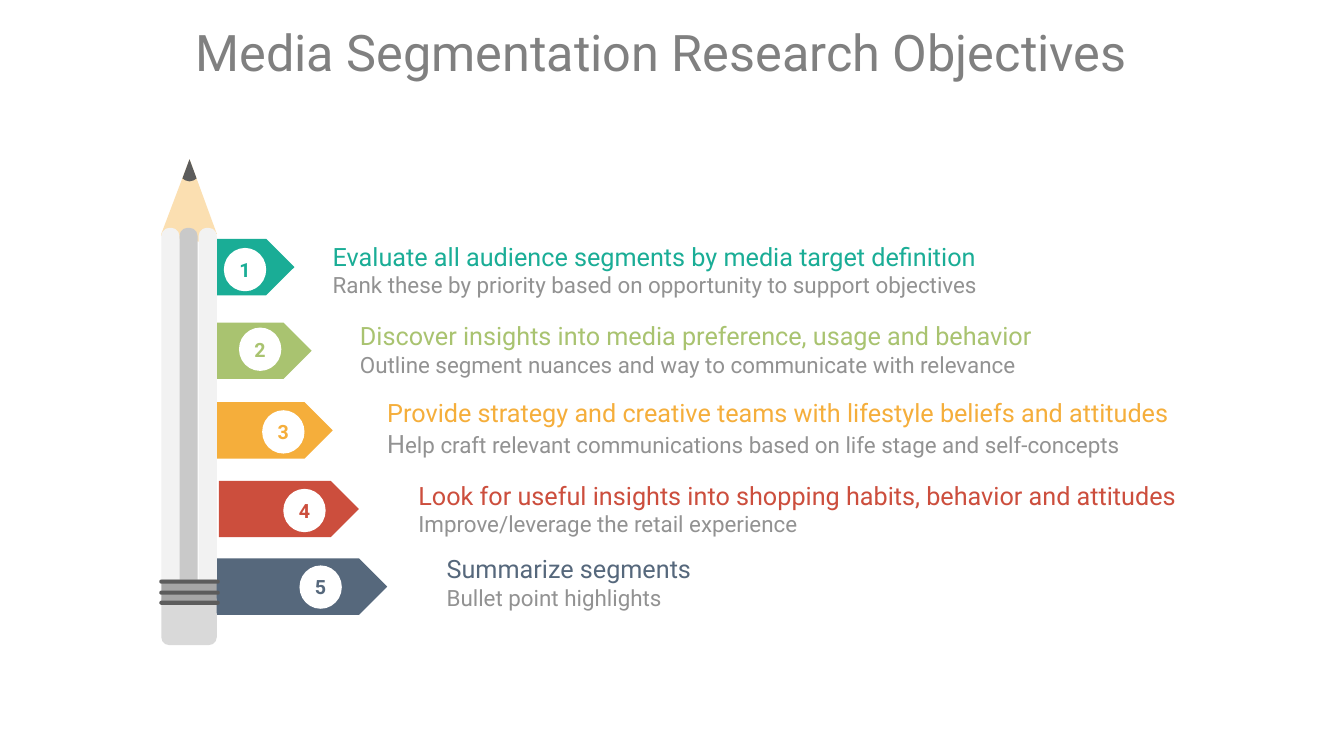
from dataclasses import dataclass

from pptx import Presentation
from pptx.dml.color import RGBColor
from pptx.enum.shapes import MSO_SHAPE as Preset
from pptx.enum.text import MSO_ANCHOR as Anchor, MSO_AUTO_SIZE as AutoSize, PP_ALIGN as Align
from pptx.shapes.autoshape import Shape
from pptx.shapes.shapetree import GroupShapes, SlideShapes
from pptx.slide import Slide
from pptx.text.text import TextFrame, _Paragraph as Paragraph
from pptx.util import Emu, Pt

EMU_PER_PX = 9144


@dataclass(frozen=True)
class Theme:
    font: str = "Roboto"
    title: str = "808080"
    detail: str = "929292"
    white: str = "FFFFFF"
    wood: str = "FBDFB1"
    graphite: str = "5C5C5C"
    barrel: str = "F2F2F2"
    barrel_shade: str = "C9C9C9"
    eraser: str = "D9D9D9"
    ferrule: str = "A6A6A6"
    title_size: int = 36
    heading_size: int = 18
    detail_size: int = 16
    number_size: int = 14


@dataclass(frozen=True)
class Box:
    left: int
    top: int
    width: int
    height: int


@dataclass(frozen=True)
class TextRun:
    text: str
    size: int
    color: str
    bold: bool = False


@dataclass(frozen=True)
class Objective:
    color: str
    arrow: Box
    badge_left: int
    badge_top: int
    text_box: Box
    heading: str
    details: tuple[TextRun, ...]


@dataclass(frozen=True)
class Part:
    preset: Preset
    box: Box
    color: str
    corner: float | None = None


@dataclass(frozen=True)
class Outline:
    points: tuple[tuple[int, int], ...]
    color: str


THEME = Theme()
SLIDE_SIZE = (1333, 750)
TITLE_BOX = Box(46, 19, 1220, 72)
BADGE_SIZE = (42, 43)


def detail(text: str, size: int = THEME.detail_size) -> TextRun:
    return TextRun(text, size, THEME.detail)


OBJECTIVES = (
    Objective("1AAD96", Box(214, 237, 78, 56), 222, 246, Box(330, 239, 642, 57),
              "Evaluate all audience segments by media target definition",
              (detail("Rank these by priority based on opportunity to support objectives"),)),
    Objective("A9C370", Box(214, 320, 95, 56), 237, 325, Box(357, 318, 709, 57),
              "Discover insights into media preference, usage and behavior",
              (detail("Outline segment nuances and way to communicate with relevance"),)),
    Objective("F5AE3B", Box(214, 399, 116, 56), 260, 407, Box(384, 394, 919, 61),
              "Provide strategy and creative teams with lifestyle beliefs and attitudes",
              (detail("H", THEME.heading_size),
               detail("elp craft relevant communications based on life stage and self-concepts"))),
    Objective("CC4E3D", Box(217, 477, 139, 56), 281, 485, Box(415, 476, 762, 57),
              "Look for useful insights into shopping habits, behavior and attitudes",
              (detail("Improve/leverage the retail experience"),)),
    Objective("56687C", Box(206, 554, 178, 56), 297, 561, Box(443, 549, 838, 57),
              "Summarize segments",
              (detail("Bullet point highlights"),)),
)

WOOD = Outline(((160, 232), (188, 158), (215, 232), (205, 241), (160, 234)), THEME.wood)
TIP = Outline(((188, 158), (181, 177), (184, 179), (188, 180), (192, 179), (195, 177)),
              THEME.graphite)
STRIPES = tuple(
    Part(Preset.ROUNDED_RECTANGLE, Box(left, 226, 18, 358), color, 0.45)
    for left, color in ((178, THEME.barrel_shade), (197, THEME.barrel), (160, THEME.barrel))
)
RINGS = tuple(
    Part(Preset.ROUNDED_RECTANGLE, Box(158, top, 60, 4), THEME.graphite, 0.5)
    for top in (596, 586, 575)
)
PENCIL = (
    Part(Preset.ROUNDED_RECTANGLE, Box(160, 588, 55, 52), THEME.eraser, 0.15),
    WOOD,
    *STRIPES,
    TIP,
    Part(Preset.RECTANGLE, Box(160, 575, 55, 25), THEME.ferrule),
    *RINGS,
)


def px(length: int) -> Emu:
    return Emu(length * EMU_PER_PX)


def place(box: Box) -> tuple[Emu, Emu, Emu, Emu]:
    return px(box.left), px(box.top), px(box.width), px(box.height)


def apply(target: object, values: dict[str, object]) -> None:
    for name, value in values.items():
        setattr(target, name, value)


def paint(shape: Shape, color: str) -> None:
    shape.shadow.inherit = False
    shape.fill.solid()
    shape.fill.fore_color.rgb = RGBColor.from_string(color)
    shape.line.fill.background()


def format_frame(frame: TextFrame, auto_size: AutoSize = AutoSize.NONE) -> None:
    apply(frame, {
        "margin_left": 0, "margin_top": 0, "margin_right": 0, "margin_bottom": 0,
        "vertical_anchor": Anchor.MIDDLE, "word_wrap": True, "auto_size": auto_size,
    })


def write(paragraph: Paragraph, *runs: TextRun) -> None:
    for item in runs:
        run = paragraph.add_run()
        run.text = item.text
        apply(run.font, {"name": THEME.font, "size": Pt(item.size), "bold": item.bold})
        run.font.color.rgb = RGBColor.from_string(item.color)


def draw_part(shapes: SlideShapes | GroupShapes, part: Part) -> Shape:
    shape = shapes.add_shape(part.preset, *place(part.box))
    if part.corner is not None:
        shape.adjustments[0] = part.corner
    paint(shape, part.color)
    return shape


def draw_outline(shapes: GroupShapes, outline: Outline) -> None:
    start, *others = outline.points
    builder = shapes.build_freeform(*start, scale=EMU_PER_PX)
    builder.add_line_segments(others, close=True)
    paint(builder.convert_to_shape(), outline.color)


def draw_pencil(slide: Slide) -> None:
    group = slide.shapes.add_group_shape()
    for item in PENCIL:
        if isinstance(item, Outline):
            draw_outline(group.shapes, item)
        else:
            draw_part(group.shapes, item)


def draw_objective(slide: Slide, number: int, objective: Objective) -> None:
    draw_part(slide.shapes, Part(Preset.PENTAGON, objective.arrow, objective.color))
    badge_box = Box(objective.badge_left, objective.badge_top, *BADGE_SIZE)
    badge = draw_part(slide.shapes, Part(Preset.OVAL, badge_box, THEME.white))
    format_frame(badge.text_frame)
    label = badge.text_frame.paragraphs[0]
    label.alignment = Align.CENTER
    write(label, TextRun(str(number), THEME.number_size, objective.color, True))

    frame = slide.shapes.add_textbox(*place(objective.text_box)).text_frame
    format_frame(frame, AutoSize.SHAPE_TO_FIT_TEXT)
    write(frame.paragraphs[0], TextRun(objective.heading, THEME.heading_size, objective.color))
    write(frame.add_paragraph(), *objective.details)


def draw_title(slide: Slide) -> None:
    title = slide.shapes.title
    apply(title, dict(zip(("left", "top", "width", "height"), place(TITLE_BOX))))
    format_frame(title.text_frame)
    paragraph = title.text_frame.paragraphs[0]
    apply(paragraph, {"alignment": Align.CENTER, "line_spacing": 0.9})
    write(paragraph, TextRun("Media Segmentation Research Objectives",
                             THEME.title_size, THEME.title))


def main() -> None:
    presentation = Presentation()
    presentation.slide_width, presentation.slide_height = map(px, SLIDE_SIZE)
    slide = presentation.slides.add_slide(presentation.slide_layouts[5])
    draw_title(slide)
    for number, objective in enumerate(OBJECTIVES, start=1):
        draw_objective(slide, number, objective)
    draw_pencil(slide)
    presentation.save("out.pptx")


if __name__ == "__main__":
    main()
